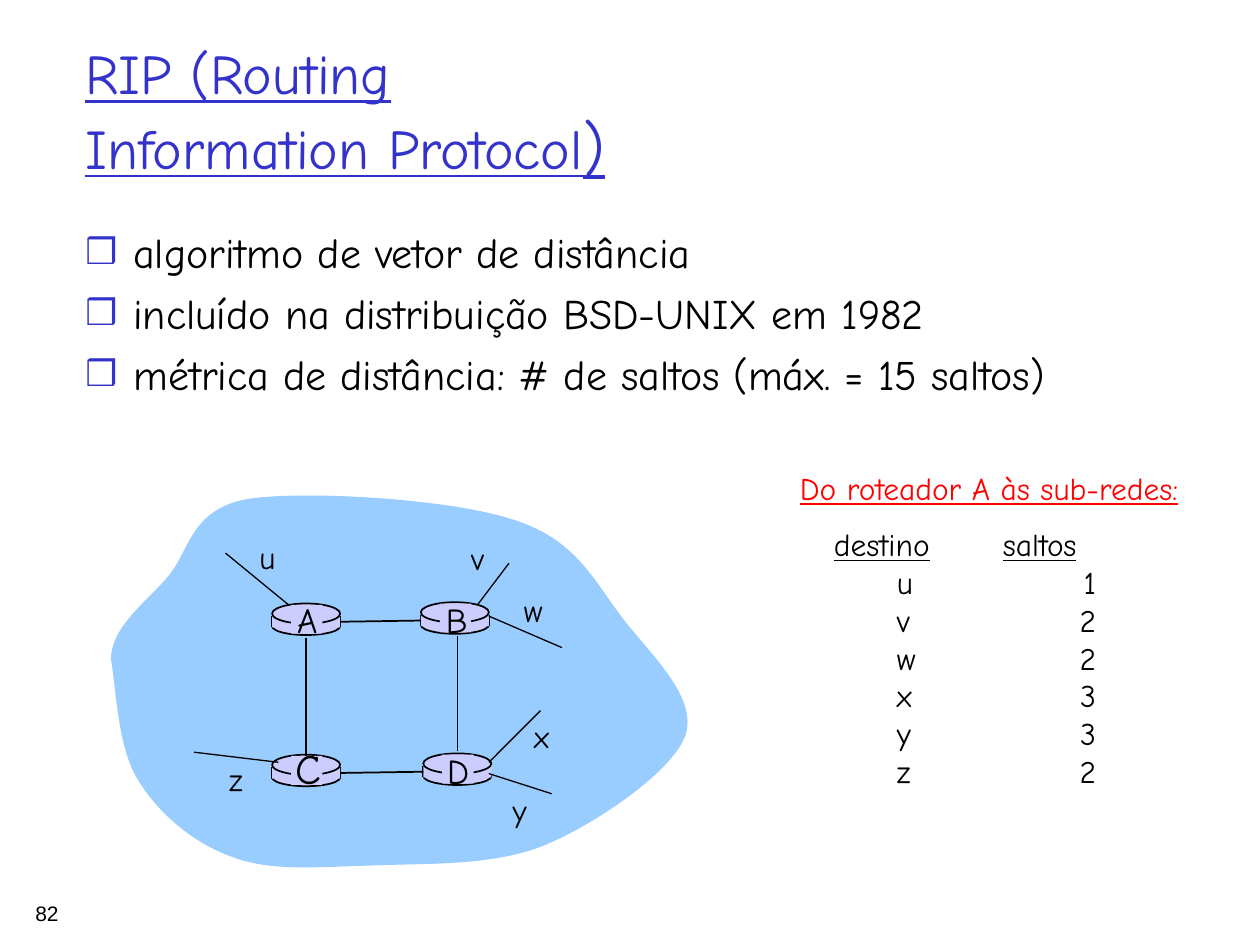
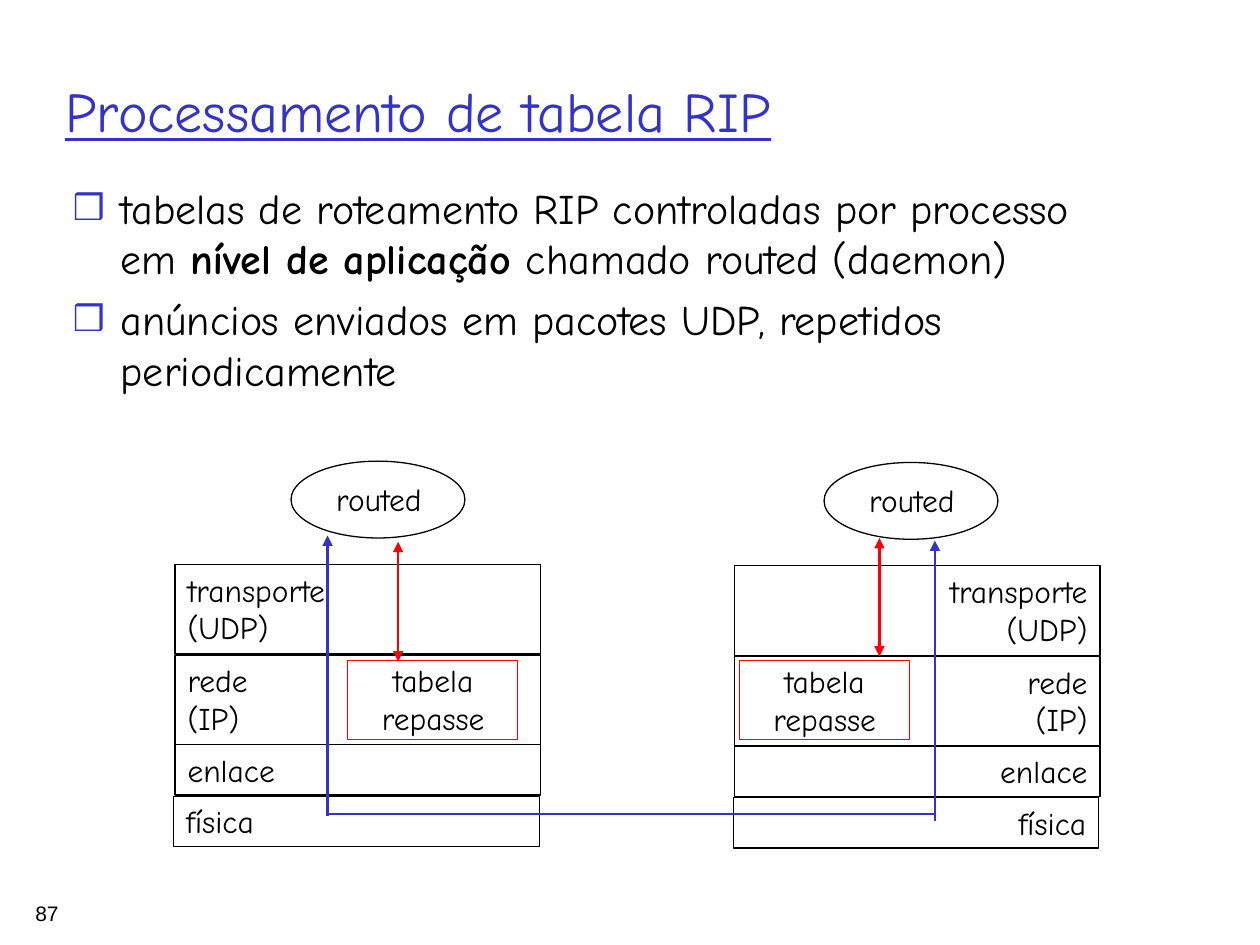
"""Build two slides on RIP: the hop-count example and the routing table process."""
from dataclasses import dataclass

from lxml import etree
from pptx import Presentation
from pptx import util as u
from pptx.dml.color import RGBColor
from pptx.enum import shapes, text
from pptx.oxml import ns

Inches = u.Inches
LEFT, CENTER, RIGHT = text.PP_ALIGN.LEFT, text.PP_ALIGN.CENTER, text.PP_ALIGN.RIGHT
TOP, MIDDLE = text.MSO_ANCHOR.TOP, text.MSO_ANCHOR.MIDDLE
RECTANGLE, OVAL = shapes.MSO_SHAPE.RECTANGLE, shapes.MSO_SHAPE.OVAL


@dataclass(frozen=True)
class Theme:
    font: str = "Comic Neue"
    number_font: str = "Arial"
    ink: str = "000000"
    blue: str = "3333CC"
    red: str = "FF0000"
    cloud: str = "99CCFF"
    router: str = "CCCCFF"
    title: int = 32
    body: int = 24
    router_name: int = 20
    label: int = 18
    number: int = 12
    thin: float = 0.75
    outline: float = 1
    arrow: float = 1.5


THEME = Theme()

RIP = {
    "number": "82",
    "title": [[("RIP (Routing\nInformation Protocol", {}), (")", {"size": 36})]],
    "title_box": (0.58, 0.25, 8.94, 1.25),
    "bullets": [
        "algoritmo de vetor de distância",
        "incluído na distribuição BSD-UNIX em 1982",
        "métrica de distância: # de saltos (máx. = 15 saltos)",
    ],
    "body_box": (0.58, 1.75, 9, 1.85),
}
PROCESS = {
    "number": "87",
    "title": ["Processamento de tabela RIP"],
    "title_box": (0.42, 0.25, 8.5, 1.25),
    "bullets": [
        [("tabelas de roteamento RIP controladas por processo em ", {}),
         ("nível de aplicação ", {"bold": True}),
         ("chamado routed (daemon)", {})],
        "anúncios enviados em pacotes UDP, repetidos periodicamente",
    ],
    "body_box": (0.48, 1.4, 8.5, 5.47),
}

HOPS_TITLE = "Do roteador A às sub-redes:"
HOPS_HEADER = ("destino", "saltos")
HOPS = [("u", 1), ("v", 2), ("w", 2), ("x", 3), ("y", 3), ("z", 2)]
HEADER_TABS = [(1.34, "l")]
HOPS_TABS = [(0.5, "l"), (2.08, "r")]

CLOUD_BOX = (0.88, 3.89, 4.67, 3.03)
CLOUD_START = (0.88, 5.23)
CLOUD_CURVES = [
    ((0.89, 4.97), (1.15, 4.79), (1.33, 4.58)),
    ((1.51, 4.37), (1.51, 4.04), (1.97, 3.96)),
    ((2.43, 3.89), (3.6, 3.96), (4.09, 4.13)),
    ((4.59, 4.29), (4.73, 4.64), (4.96, 4.93)),
    ((5.18, 5.21), (5.54, 5.54), (5.44, 5.84)),
    ((5.33, 6.13), (4.73, 6.54), (4.32, 6.71)),
    ((3.9, 6.88), (3.35, 6.85), (2.94, 6.87)),
    ((2.52, 6.88), (2.15, 6.92), (1.84, 6.8)),
    ((1.53, 6.69), (1.25, 6.45), (1.09, 6.18)),
    ((0.93, 5.92), (0.92, 5.43), (0.88, 5.23)),
]
ROUTER_WIDTH, ROUTER_SIDE = 0.54, 0.09
ROUTERS = {
    "C": {"at": (2.16, 6.09), "sides": 2, "name_box": (2.25, 5.84, 0.4, 0.5), "size": 24},
    "A": {"at": (2.16, 4.89), "sides": 2, "name_box": (2.26, 4.7, 0.36, 0.44)},
    "B": {"at": (3.34, 4.88), "sides": 2, "name_box": (3.44, 4.7, 0.37, 0.44)},
    "D": {"at": (3.36, 6.08), "sides": 1, "name_box": (3.45, 5.9, 0.37, 0.44)},
}
ROW_LINKS = [("A", "B"), ("C", "D")]
COLUMN_LINKS = [(3.63, 5.05, 5.96), (2.43, 5.06, 6)]
SUBNETS = [
    ("u", (1.96, 4.22, 0.33, 0.4), (2.29, 4.8), (1.79, 4.39)),
    ("v", (3.64, 4.23, 0.3, 0.4), (3.79, 4.8), (4.04, 4.47)),
    ("w", (4.06, 4.64, 0.35, 0.4), (3.88, 4.89), (4.46, 5.14)),
    ("x", (4.14, 5.64, 0.32, 0.4), (3.88, 6.05), (4.29, 5.64)),
    ("y", (3.97, 6.23, 0.31, 0.4), (3.88, 6.14), (4.38, 6.3)),
    ("z", (1.72, 5.98, 0.31, 0.4), (2.21, 6.05), (1.54, 5.97)),
]

LAYER_BOXES = [(-0.01, 6.32, 0.4), (0, 5.91, 0.4), (0, 5.2, 0.71), (0, 4.48, 0.71)]
STACK_WIDTH = 2.9
STACKS = [
    {"left": 1.39, "drop": 0, "align": LEFT, "routed": 2.31, "table": 2.76,
     "layers": [["física"], ["enlace"], ["rede\ttabela\n(IP)\trepasse"], ["transporte", "(UDP)"]],
     "tabs": [(1.95, "ctr")], "table_text": [],
     "blue": (2.6, 6.48, 4.25), "red": (3.16, 4.3, 5.25)},
    {"left": 5.83, "drop": 0.01, "align": RIGHT, "routed": 6.54, "table": 5.87,
     "layers": [["física"], ["enlace"], ["rede", "(IP)"], ["transporte", "(UDP)"]],
     "tabs": [], "table_text": ["tabela", "repasse"],
     "blue": (7.42, 6.52, 4.29), "red": (6.98, 4.27, 5.21)},
]
BUS = (2.6, 7.43, 6.46)


def rgb(color):
    return RGBColor.from_string(color)


def add_bullet(paragraph):
    properties = paragraph._p.get_or_add_pPr()
    properties.set("marL", str(Inches(0.38)))
    properties.set("indent", str(-Inches(0.38)))
    color = etree.SubElement(properties, ns.qn("a:buClr"))
    etree.SubElement(color, ns.qn("a:srgbClr"), val=THEME.blue)
    etree.SubElement(properties, ns.qn("a:buSzPct"), val="85000")
    etree.SubElement(properties, ns.qn("a:buFont"), typeface=THEME.number_font)
    etree.SubElement(properties, ns.qn("a:buChar"), char="❒")


def add_tabs(paragraph, tabs):
    stops = etree.SubElement(paragraph._p.get_or_add_pPr(), ns.qn("a:tabLst"))
    for position, align in tabs:
        etree.SubElement(stops, ns.qn("a:tab"), pos=str(Inches(position)), algn=align)


def write(frame, paragraphs, *, size=THEME.label, color=THEME.ink, font=THEME.font,
          align=LEFT, anchor=TOP, underline=False, bullets=False, tabs=(), gap=0,
          wrap=True, margin=0.1):
    """Fill a text frame; a paragraph is a string or a list of (text, format) runs."""
    frame.word_wrap = wrap
    frame.vertical_anchor = anchor
    frame.margin_left = frame.margin_right = Inches(margin)
    frame.margin_top = frame.margin_bottom = Inches(0.05)
    for index, content in enumerate(paragraphs):
        paragraph = frame.add_paragraph() if index else frame.paragraphs[0]
        runs = [(content, {})] if isinstance(content, str) else content
        stops = runs[0][1].get("tabs", tabs)
        if bullets:
            add_bullet(paragraph)
        if stops:
            add_tabs(paragraph, stops)
        paragraph.alignment = align
        if index and gap:
            paragraph.space_before = u.Pt(gap)
        for words, style in runs:
            for number, line in enumerate(words.split("\n")):
                if number:
                    paragraph.add_line_break()
                run = paragraph.add_run()
                run.text = line
                run.font.name = font
                run.font.size = u.Pt(style.get("size", size))
                run.font.bold = style.get("bold", False)
                run.font.underline = style.get("underline", underline)
                run.font.color.rgb = rgb(color)


def add_text(slide, box, paragraphs, **style):
    shape = slide.shapes.add_textbox(*map(Inches, box))
    write(shape.text_frame, paragraphs, **style)


def paint(shape, fill=None, line=None, width=THEME.thin):
    shape.shadow.inherit = False
    if fill:
        shape.fill.solid()
        shape.fill.fore_color.rgb = rgb(fill)
    else:
        shape.fill.background()
    if line:
        shape.line.color.rgb = rgb(line)
        shape.line.width = u.Pt(width)
    else:
        shape.line.fill.background()
    return shape


def add_figure(slide, kind, box, **look):
    return paint(slide.shapes.add_shape(kind, *map(Inches, box)), **look)


def add_line(slide, start, end, color=THEME.ink, width=THEME.thin, heads=()):
    connector = slide.shapes.add_connector(
        shapes.MSO_CONNECTOR.STRAIGHT, *map(Inches, (*start, *end)))
    connector.line.color.rgb = rgb(color)
    connector.line.width = u.Pt(width)
    for head in heads:
        etree.SubElement(connector.line._get_or_add_ln(), ns.qn(f"a:{head}"), type="triangle")
    etree.SubElement(connector._element.spPr, ns.qn("a:effectLst"))
    return connector


def start_slide(presentation, content):
    slide = presentation.slides.add_slide(presentation.slide_layouts[6])
    add_text(slide, (0.13, 7.1, 3.52, 0.23), [content["number"]],
             size=THEME.number, font=THEME.number_font, margin=0.15)
    add_text(slide, content["title_box"], content["title"],
             size=THEME.title, color=THEME.blue, underline=True, anchor=MIDDLE)
    add_text(slide, content["body_box"], content["bullets"],
             size=THEME.body, bullets=True, gap=6)
    return slide


def add_cloud(slide):
    left, top, width, height = CLOUD_BOX
    builder = slide.shapes.build_freeform(*map(Inches, CLOUD_START))
    builder.add_line_segments([tuple(map(Inches, curve[-1])) for curve in CLOUD_CURVES])
    cloud = paint(builder.convert_to_shape(), fill=THEME.cloud)
    cloud.left, cloud.top, cloud.width, cloud.height = map(Inches, CLOUD_BOX)
    outline = cloud._element.find(".//" + ns.qn("a:pathLst"))[0]
    outline.set("w", str(Inches(width)))
    outline.set("h", str(Inches(height)))
    for child in list(outline):
        outline.remove(child)
    commands = [("moveTo", [CLOUD_START]), *(("cubicBezTo", curve) for curve in CLOUD_CURVES),
                ("close", [])]
    for name, points in commands:
        command = etree.SubElement(outline, ns.qn(f"a:{name}"))
        for x, y in points:
            etree.SubElement(command, ns.qn("a:pt"),
                             x=str(Inches(x - left)), y=str(Inches(y - top)))


def add_router(slide, name, router):
    x, y = router["at"]
    outlined = {"fill": THEME.router, "line": THEME.ink, "width": THEME.outline}
    add_figure(slide, OVAL, (x, y + 0.01, ROUTER_WIDTH, 0.14), **outlined)
    for side in (x, x + ROUTER_WIDTH)[:router["sides"]]:
        add_line(slide, (side, y), (side, y + ROUTER_SIDE), width=THEME.outline)
    body = add_figure(slide, RECTANGLE, (x, y, ROUTER_WIDTH, ROUTER_SIDE), fill=THEME.router)
    add_figure(slide, OVAL, (x, y - 0.1, ROUTER_WIDTH, 0.16), **outlined)
    add_figure(slide, RECTANGLE, (x + 0.15, y - 0.09, 0.25, 0.23), fill=THEME.router)
    add_text(slide, router["name_box"], [name], align=CENTER, wrap=False,
             size=router.get("size", THEME.router_name))
    return body


def add_network(slide):
    add_cloud(slide)
    bodies = {name: add_router(slide, name, router) for name, router in ROUTERS.items()}
    for west, east in ROW_LINKS:
        link = add_line(slide, ROUTERS[west]["at"], ROUTERS[east]["at"], width=THEME.outline)
        link.begin_connect(bodies[west], 3)
        link.end_connect(bodies[east], 1)
    for x, top, bottom in COLUMN_LINKS:
        add_line(slide, (x, top), (x, bottom), width=THEME.outline)
    for name, box, start, end in SUBNETS:
        add_line(slide, start, end)
        add_text(slide, box, [name], wrap=False)


def add_hops(slide):
    underlined = {"underline": True}
    header = [(HOPS_HEADER[0], {**underlined, "tabs": HEADER_TABS}), ("\t", {}),
              (HOPS_HEADER[1], underlined)]
    rows = [f"\t{subnet}\t{hops}" for subnet, hops in HOPS]
    add_text(slide, (6.52, 4.12, 2.28, 2.5), [header, *rows], tabs=HOPS_TABS)
    add_text(slide, (6.25, 3.67, 3.22, 0.4), [HOPS_TITLE], color=THEME.red,
             underline=True, wrap=False)


def add_stack(slide, stack):
    drop = stack["drop"]
    for lines, (shift, top, height) in zip(stack["layers"], LAYER_BOXES):
        box = (stack["left"] + shift, top + drop, STACK_WIDTH, height)
        layer = add_figure(slide, RECTANGLE, box, line=THEME.ink)
        write(layer.text_frame, lines, align=stack["align"], tabs=stack["tabs"])
    table = add_figure(slide, RECTANGLE, (stack["table"], 5.24, 1.35, 0.63), line=THEME.red)
    write(table.text_frame, stack["table_text"], align=CENTER, anchor=MIDDLE, wrap=False)
    add_figure(slide, OVAL, (stack["routed"], 3.66 + drop, 1.38, 0.61), line=THEME.ink)
    add_text(slide, (stack["routed"] + 0.26, 3.76 + drop, 0.89, 0.4), ["routed"], wrap=False)
    for key, color, heads in (("blue", THEME.blue, ["tailEnd"]),
                              ("red", THEME.red, ["headEnd", "tailEnd"])):
        x, start, end = stack[key]
        add_line(slide, (x, start), (x, end), color, THEME.arrow, heads)


def main():
    presentation = Presentation()
    presentation.slide_width, presentation.slide_height = Inches(10), Inches(7.5)

    rip = start_slide(presentation, RIP)
    add_network(rip)
    add_hops(rip)

    process = start_slide(presentation, PROCESS)
    for stack in STACKS:
        add_stack(process, stack)
    west, east, y = BUS
    add_line(process, (west, y), (east, y), THEME.blue, THEME.arrow)

    presentation.save("out.pptx")


if __name__ == "__main__":
    main()
